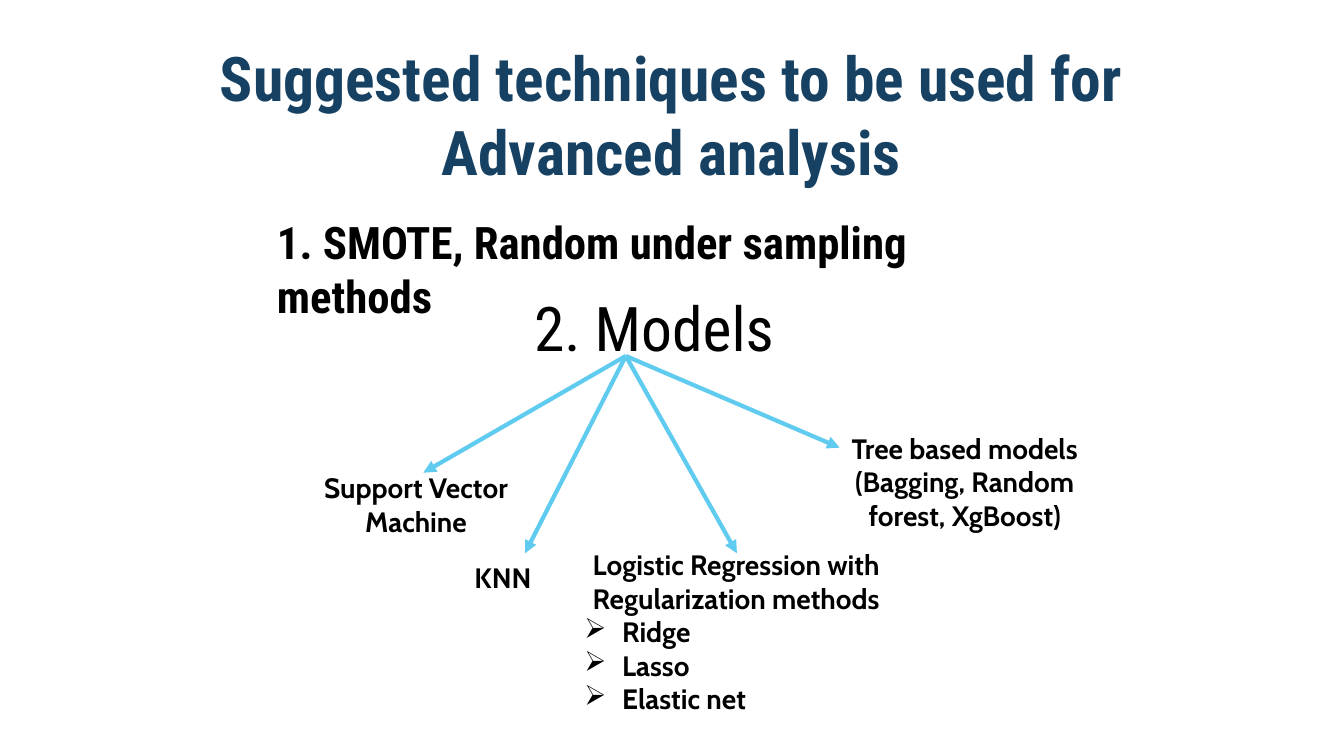
from pptx import Presentation
from pptx.util import Cm, Pt
from pptx.dml.color import RGBColor as Rgb
from pptx.enum.shapes import MSO_CONNECTOR as Link
from pptx.enum.text import PP_ALIGN as Align
from lxml.etree import SubElement as Sub
from pptx.oxml.ns import qn

HEAD, BODY = "Roboto Condensed", "Cabin"
NAVY, BLACK, SKY = "174162", "000000", "5FCBEF"

TITLE = "Suggested techniques to be used for Advanced analysis"
STEPS = [
    ("1. SMOTE, Random under sampling methods", (6.73, 5.28, 17.12, 1.63), 32, True),
    ("2. Models", (13.21, 7.19, 6.63, 2.13), 44, False),
]
ROOT = (15.77, 8.97)
MODELS = [
    (["Support Vector Machine"], [], (7.49, 11.73, 5.99, 1.96), (10.67, 11.91)),
    (["KNN"], [], (9.68, 14, 5.99, 1.12), (13.23, 13.94)),
    (["Logistic Regression with Regularization methods"],
     ["Ridge", "Lasso", "Elastic net"], (14.48, 13.67, 8.15, 5.38), (18.57, 13.94)),
    (["Tree based models", "(Bagging, Random forest, XgBoost)"], [],
     (20.85, 10.74, 6.93, 2.82), (21.16, 11.28)),
]


def tint(code):
    return Rgb.from_string(code)


def add_mark(para):
    props = para._p.get_or_add_pPr()
    props.set("marL", str(Cm(0.95)))
    props.set("indent", str(-Cm(0.95)))
    Sub(props, qn("a:buChar"), char="➢")


def add_text(lines, box, size=20, font=BODY, color=BLACK, bold=True,
             align=Align.CENTER, items=()):
    frame = slide.shapes.add_textbox(*map(Cm, box)).text_frame
    frame.word_wrap = True
    for i, text in enumerate([*lines, *items]):
        para = frame.add_paragraph() if i else frame.paragraphs[0]
        if i < len(lines):
            para.alignment = align
        else:
            para.alignment = Align.LEFT
            add_mark(para)
        run = para.add_run()
        run.text = text
        run.font.name = font
        run.font.size = Pt(size)
        run.font.bold = bold
        run.font.color.rgb = tint(color)


def add_arrow(start, end):
    arrow = slide.shapes.add_connector(Link.STRAIGHT, *map(Cm, start + end))
    arrow.line.color.rgb = tint(SKY)
    arrow.line.width = Pt(3)
    Sub(arrow.line._get_or_add_ln(), qn("a:tailEnd"), type="triangle")
    Sub(arrow._element.spPr, qn("a:effectLst"))


deck = Presentation()
deck.slide_width, deck.slide_height = Cm(33.87), Cm(19.05)
slide = deck.slides.add_slide(deck.slide_layouts[6])

add_text([TITLE], (4.01, 0.89, 25.83, 4.01), size=44, font=HEAD, color=NAVY)
for names, items, box, tip in MODELS:
    add_arrow(ROOT, tip)
    add_text(names, box, items=items)
for text, box, size, bold in STEPS:
    add_text([text], box, size=size, font=HEAD, bold=bold, align=Align.LEFT)

deck.save("out.pptx")
